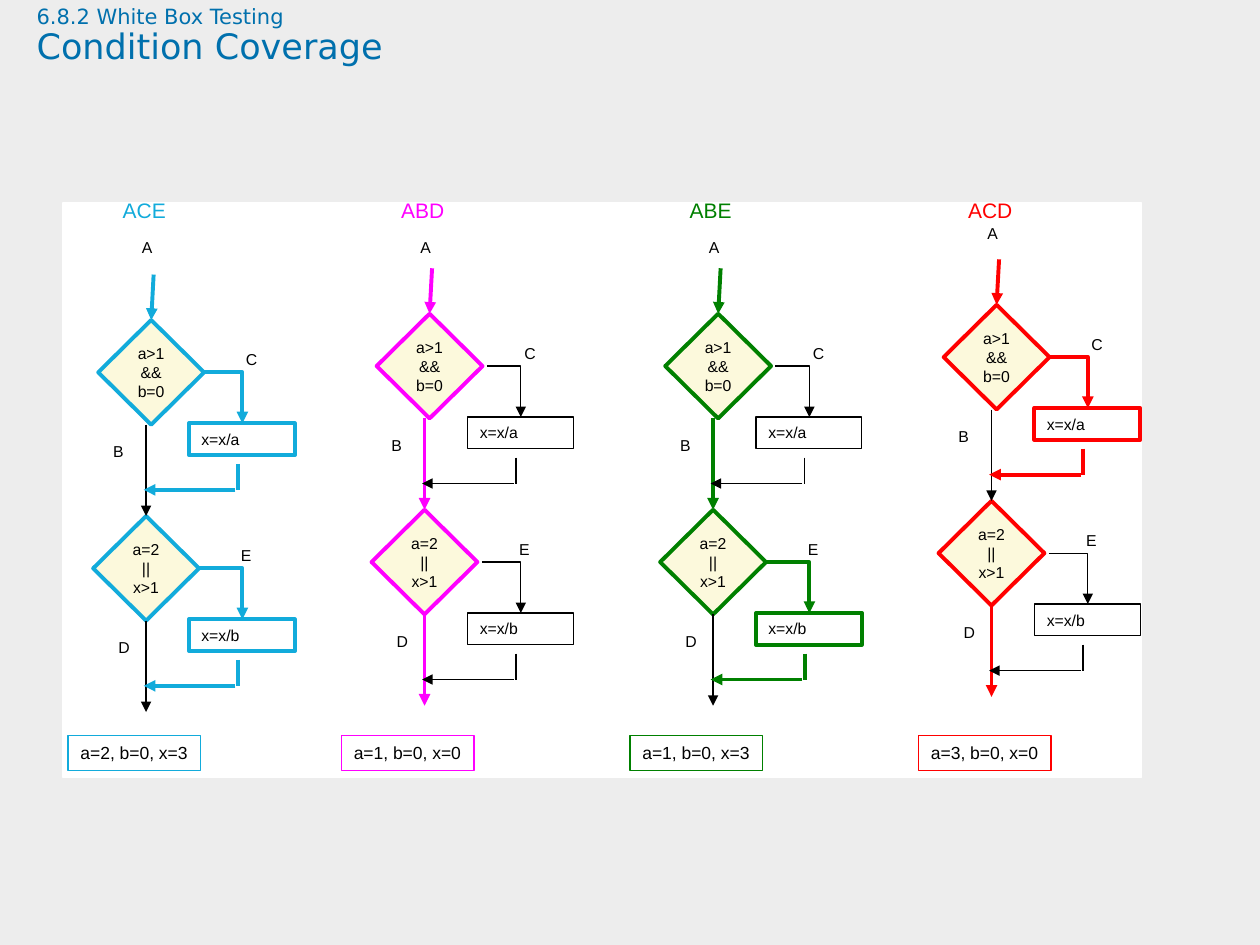
from typing import NamedTuple

from lxml.etree import SubElement
from pptx import Presentation
from pptx.dml.color import RGBColor
from pptx.enum.shapes import MSO_CONNECTOR as Link, MSO_SHAPE as Kind
from pptx.enum.text import MSO_ANCHOR as Anchor, PP_ALIGN as Align
from pptx.oxml.ns import qn
from pptx.util import Pt

BLACK = RGBColor(0, 0, 0)
WHITE = RGBColor(255, 255, 255)
GREY = RGBColor(0xED, 0xED, 0xED)
CREAM = RGBColor(0xFC, 0xF9, 0xDC)
NAVY = RGBColor(0x00, 0x70, 0xAD)
CYAN = RGBColor(0x12, 0xAB, 0xDB)
PINK = RGBColor(255, 0, 255)
GREEN = RGBColor(0, 0x80, 0)
RED = RGBColor(255, 0, 0)

THIN, THICK = 0.75, 2.25
SIZE_W, SIZE_H = 60.5, 59.8  # decision diamond
STEP = 112  # from one decision to the next


class Path(NamedTuple):
    name: str
    color: RGBColor
    axis: float
    top: float
    entry: float  # top of the label A
    case_x: float
    case: str


class Stage(NamedTuple):
    test: str
    action: str
    no: str
    yes: str
    shift: float  # diamond centre, right of the axis
    no_x: float


PATHS = [
    Path("ACE", CYAN, 83.5, 182.9, 132.5, 38.9, "a=2, b=0, x=3"),
    Path("ABD", PINK, 242.6, 179.3, 132.5, 195.1, "a=1, b=0, x=0"),
    Path("ABE", GREEN, 407.5, 179.3, 132.5, 360, "a=1, b=0, x=3"),
    Path("ACD", RED, 566.6, 174.2, 124.5, 524.9, "a=3, b=0, x=0"),
]
STAGES = [
    Stage("a>1\n&&\nb=0", "x=x/a", "B", "C", 2.9, -26),
    Stage("a=2\n||\nx>1", "x=x/b", "D", "E", 0, -23),
]


def write(shape, text: str, size: float, color=BLACK, align=Align.LEFT,
          anchor=Anchor.TOP, wrap=True) -> None:
    frame = shape.text_frame
    frame.text = text
    frame.word_wrap = wrap
    frame.vertical_anchor = anchor
    for para in frame.paragraphs:
        para.alignment = align
        look = {"name": "Arial", "size": Pt(size)}
        for key, value in look.items():
            setattr(para.font, key, value)
        para.font.color.rgb = color


def label(slide, text: str, x: float, y: float, w=26, h=18, size=9,
          color=BLACK) -> None:
    write(slide.shapes.add_textbox(Pt(x), Pt(y), Pt(w), Pt(h)), text, size, color)


def block(slide, kind, x: float, y: float, w: float, h: float,
          line: RGBColor, width: float, fill=None):
    shape = slide.shapes.add_shape(kind, Pt(x), Pt(y), Pt(w), Pt(h))
    shape.shadow.inherit = False
    if fill is None:
        shape.fill.background()
    else:
        shape.fill.solid()
        shape.fill.fore_color.rgb = fill
    shape.line.color.rgb = line
    shape.line.width = Pt(width)
    return shape


def link(slide, start, end, color: RGBColor, width: float, arrow=True, bent=False):
    line = slide.shapes.add_connector(
        Link.ELBOW if bent else Link.STRAIGHT, *map(Pt, (*start, *end)))
    line.line.color.rgb = color
    line.line.width = Pt(width)
    props = line._element.spPr
    if bent:
        props.find(qn("a:prstGeom")).set("prst", "bentConnector2")
    if arrow:
        SubElement(props.find(qn("a:ln")), qn("a:tailEnd")).set("type", "triangle")
    SubElement(props, qn("a:effectLst"))
    return line


def draw_stage(slide, path: Path, stage: Stage, y: float, gem, after) -> None:
    """Draw the two ways out of one decision, the taken one in colour."""
    x = path.axis
    taken, other = (path.color, THICK), (BLACK, THIN)
    yes, no = (taken, other) if stage.yes in path.name else (other, taken)

    stem = link(slide, (x, y + SIZE_H), (x, y + STEP), *no)
    if stage.shift == 0:
        stem.begin_connect(gem, 2)
    if after is not None:
        stem.end_connect(after, 0)

    box = block(slide, Kind.RECTANGLE, x + 24.5, y + 59, SIZE_W, 18.2, *yes)
    write(box, stage.action, 9)
    gap = 0 if yes == taken else 2.5
    corner = x + stage.shift + SIZE_W / 2 + gap
    link(slide, (corner, y + 29.9), (x + 55, y + 59), *yes, bent=True)
    link(slide, (x + 51, y + 97), (x - 1.4, y + 97), *yes)
    link(slide, (x + 52.3, y + 82.2), (x + 52.3, y + 97), *yes, arrow=False)
    label(slide, stage.yes, x + stage.shift + 47, y + 13.5)
    label(slide, stage.no, x + stage.no_x, y + 66)


def draw_path(slide, path: Path) -> None:
    x, y = path.axis, path.top
    gems = []
    for i, stage in enumerate(STAGES):
        gem = block(slide, Kind.FLOWCHART_DECISION, x + stage.shift - SIZE_W / 2,
                    y + i * STEP, SIZE_W, SIZE_H, path.color, THICK, CREAM)
        write(gem, stage.test, 9, align=Align.CENTER, anchor=Anchor.MIDDLE, wrap=False)
        gems.append(gem)
    for i, (stage, gem, after) in enumerate(zip(STAGES, gems, [*gems[1:], None])):
        draw_stage(slide, path, stage, y + i * STEP, gem, after)

    label(slide, "A", x - 9.5, path.entry)
    entry = link(slide, (x + 4.3, y - 26), (x + 2.9, y), path.color, THICK)
    entry.end_connect(gems[0], 0)
    label(slide, path.name, x - 20.5, 109.4, 54, 21.6, 12, path.color)
    case = block(slide, Kind.RECTANGLE, path.case_x, 420.5, 75.8, 20,
                 path.color, THIN)
    write(case, path.case, 10, wrap=False)


def draw_title(slide) -> None:
    title = slide.shapes.title
    place = {"left": 13.7, "top": 0, "width": 720, "height": 79}
    for key, value in place.items():
        setattr(title, key, Pt(value))
    frame = title.text_frame
    frame.vertical_anchor = Anchor.TOP
    frame.word_wrap = True
    para = frame.paragraphs[0]
    para.alignment = Align.LEFT
    para.line_spacing = 0.9
    for i, (text, size) in enumerate(
            [("6.8.2 White Box Testing", 12), ("Condition Coverage", 20)]):
        if i:
            para.add_line_break()
        run = para.add_run()
        run.text = text
        run.font.name = "DejaVu Sans"
        run.font.size = Pt(size)
        run.font.color.rgb = NAVY


def main() -> None:
    deck = Presentation()
    deck.slide_width, deck.slide_height = Pt(720), Pt(540)
    slide = deck.slides.add_slide(deck.slide_layouts[5])
    slide.background.fill.solid()
    slide.background.fill.fore_color.rgb = GREY
    draw_title(slide)
    block(slide, Kind.RECTANGLE, 36, 116, 616.5, 328.3, WHITE, THIN, WHITE)
    for path in PATHS:
        draw_path(slide, path)
    deck.save("out.pptx")


if __name__ == "__main__":
    main()
